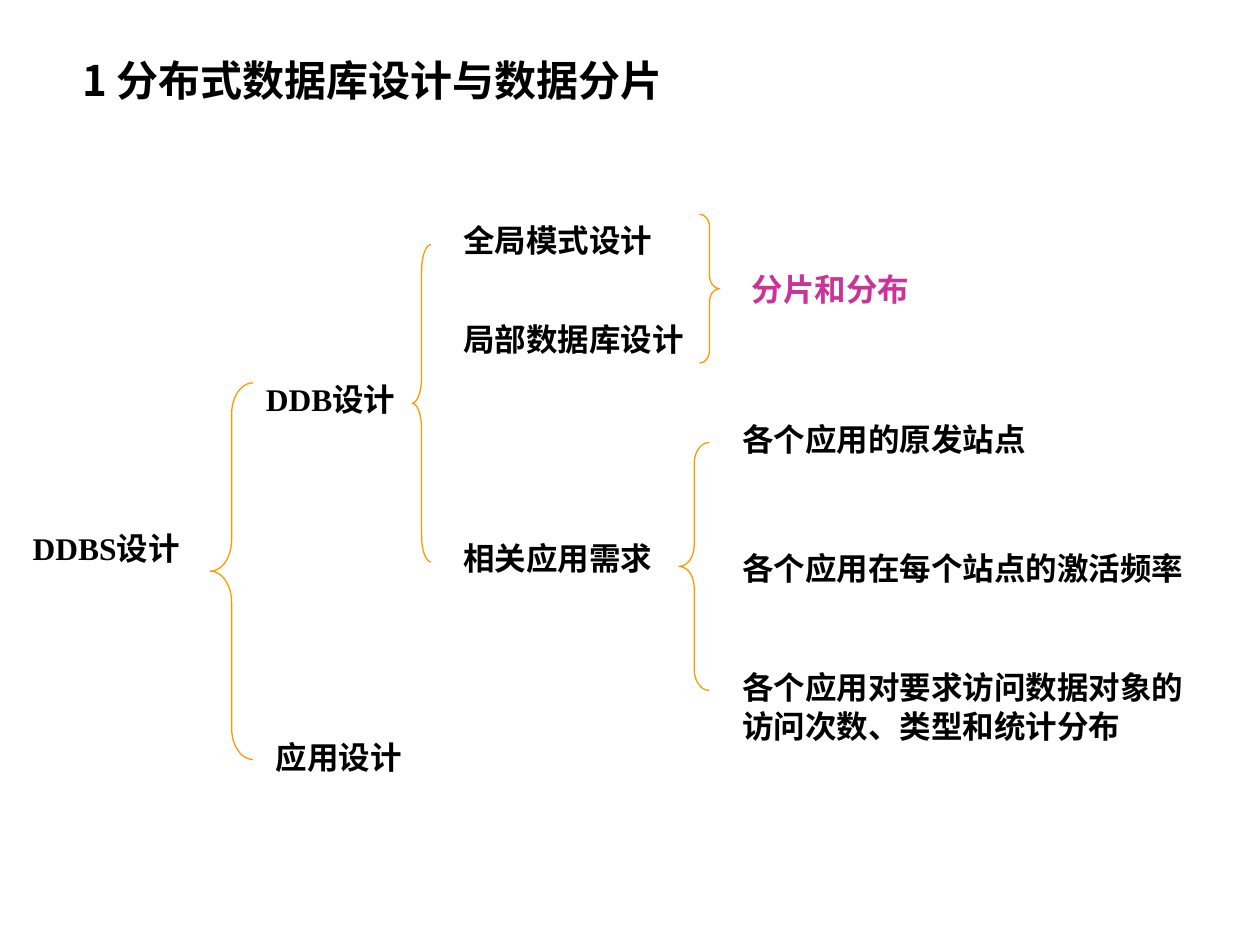
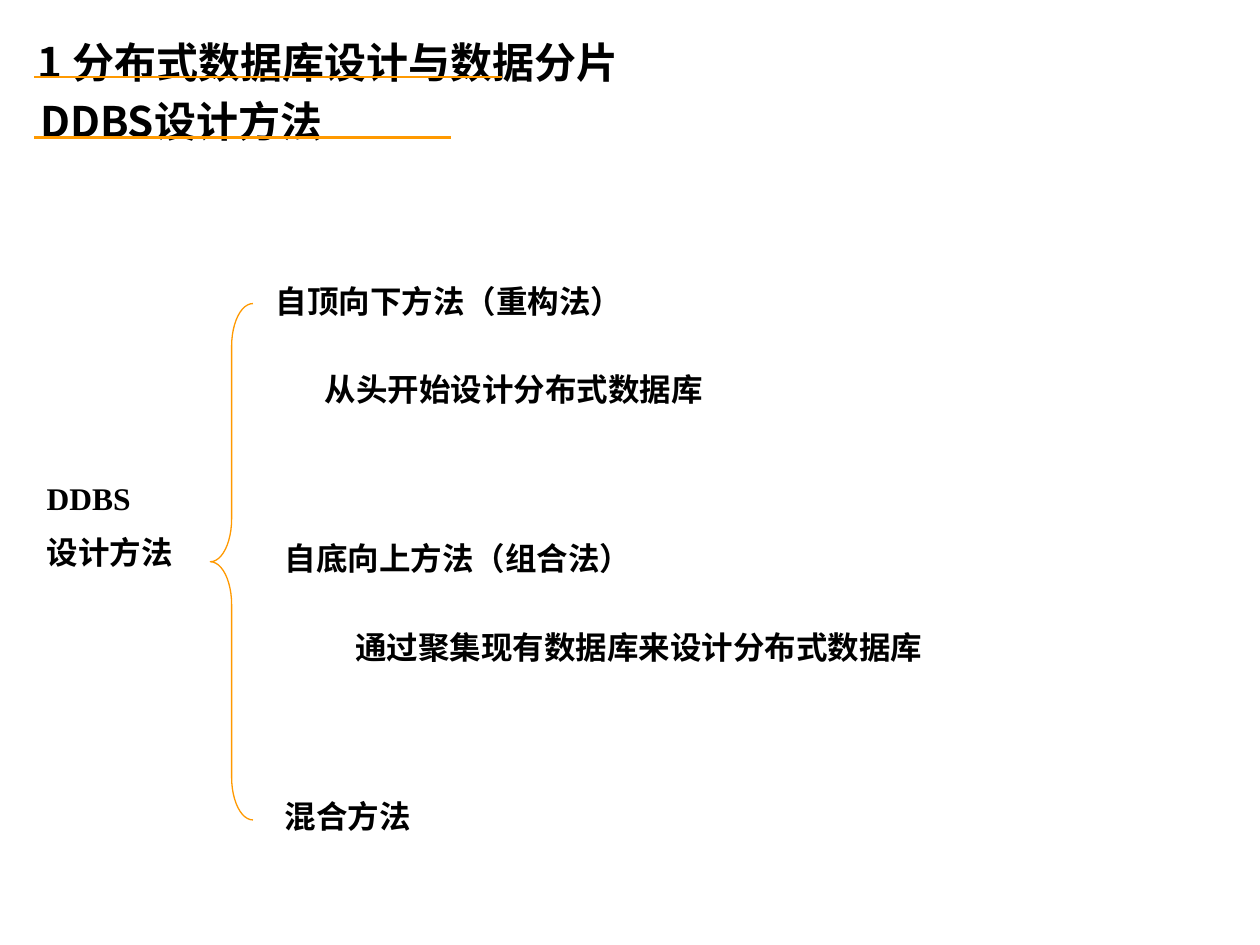
"""Build two slides on distributed database design as brace diagrams."""
from lxml import etree
from pptx import Presentation
from pptx import util as u
from pptx.dml.color import RGBColor
from pptx.enum import shapes, text
from pptx.oxml.ns import qn

ORANGE = RGBColor(0xFF, 0x99, 0x00)
BLACK = RGBColor(0x00, 0x00, 0x00)
MAGENTA = RGBColor(0xCC, 0x33, 0x99)
CJK = "Noto Sans CJK SC"
HEADING = {"name": CJK, "size": u.Pt(24), "bold": True}
LABEL = {"name": "Times New Roman", "size": u.Pt(18), "bold": True}
LEFT, RIGHT = shapes.MSO_SHAPE.LEFT_BRACE, shapes.MSO_SHAPE.RIGHT_BRACE
TITLE = "1 分布式数据库设计与数据分片"


def write(sp, lines, fmt, spacing, color=BLACK):
    """Fill a shape with left-aligned paragraphs in one format."""
    tf = sp.text_frame
    frame = {"word_wrap": True, "auto_size": text.MSO_AUTO_SIZE.NONE,
             "vertical_anchor": text.MSO_ANCHOR.TOP}
    for key, value in frame.items():
        setattr(tf, key, value)
    for i, line in enumerate(lines):
        p = tf.paragraphs[0] if i == 0 else tf.add_paragraph()
        p.alignment = text.PP_ALIGN.LEFT
        p.line_spacing = u.Pt(spacing)
        p.space_before = u.Pt(9 if i else 0)
        r = p.add_run()
        r.text = line
        for key, value in fmt.items():
            setattr(r.font, key, value)
        r.font.color.rgb = color
        ea = etree.SubElement(r.font._element, qn("a:ea"))
        ea.set("typeface", CJK)


slides = [
    {
        "title": (1.4, 0.89, 12.7, 2.64),
        "braces": [
            (LEFT, 8.31, 4.93, 0.38, 6.4, 1.4),
            (LEFT, 4.24, 7.72, 0.86, 7.59, 0.73),
            (LEFT, 13.69, 8.92, 0.61, 5, 0.69),
            (RIGHT, 14.1, 4.32, 0.41, 3, 0.63),
        ],
        "headings": [],
        "rules": [],
        "labels": [
            (0.41, 10.52, 3.71, 1.02, ["DDBS设计"], BLACK),
            (5.11, 7.52, 4.19, 1.02, ["DDB设计"], BLACK),
            (5.31, 14.73, 4.19, 1.02, ["应用设计"], BLACK),
            (9.09, 4.32, 8.2, 1.02, ["全局模式设计"], BLACK),
            (9.09, 6.32, 5.79, 1.02, ["局部数据库设计"], BLACK),
            (9.09, 10.72, 5.99, 1.02, ["相关应用需求"], BLACK),
            (14.71, 8.33, 6.4, 1.02, ["各个应用的原发站点"], BLACK),
            (14.71, 10.92, 10.69, 1.02, ["各个应用在每个站点的激活频率"], BLACK),
            (14.71, 13.33, 9.6, 1.78,
             ["各个应用对要求访问数据对象的访问次数、类型和统计分布"], BLACK),
            (14.91, 5.31, 6.4, 1.02, ["分片和分布"], MAGENTA),
        ],
    },
    {
        "title": (0.51, 0.53, 12.7, 1.27),
        "braces": [(LEFT, 4.24, 6.12, 0.86, 10.41, 1)],
        "headings": [(0.56, 1.73, 12.7, 1.27, ["DDBS设计方法"])],
        "rules": [(0.69, 10.11, 1.55), (0.69, 9.09, 2.77)],
        "labels": [
            (0.69, 9.52, 3.71, 2.16, ["DDBS", "设计方法"], BLACK),
            (5.31, 5.54, 7.8, 1.02, ["自顶向下方法（重构法）"], BLACK),
            (5.49, 15.93, 6.6, 1.02, ["混合方法"], BLACK),
            (5.49, 10.72, 8, 1.02, ["自底向上方法（组合法）"], BLACK),
            (6.3, 7.32, 15.6, 1.02, ["从头开始设计分布式数据库"], BLACK),
            (6.91, 12.52, 14.81, 1.02,
             ["通过聚集现有数据库来设计分布式数据库"], BLACK),
        ],
    },
]

prs = Presentation()
prs.slide_width, prs.slide_height = u.Cm(25.4), u.Cm(19.05)

for content in slides:
    s = prs.slides.add_slide(prs.slide_layouts[5])
    title = s.shapes.title
    for key, value in zip(("left", "top", "width", "height"), content["title"]):
        setattr(title, key, u.Cm(value))
    write(title, [TITLE], HEADING, 31)

    for kind, *box, curve in content["braces"]:
        sp = s.shapes.add_shape(kind, *map(u.Cm, box))
        sp.adjustments[0] = curve
        sp.shadow.inherit = False
        sp.fill.background()
        sp.line.color.rgb = ORANGE
        sp.line.width = u.Pt(0.75)

    for *box, lines in content["headings"]:
        write(s.shapes.add_textbox(*map(u.Cm, box)), lines, HEADING, 31)

    for x1, x2, y in content["rules"]:
        rule = s.shapes.add_connector(
            shapes.MSO_CONNECTOR.STRAIGHT, *map(u.Cm, (x1, y, x2, y)))
        rule.line.color.rgb = ORANGE
        rule.line.width = u.Pt(1.5)
        etree.SubElement(rule._element.spPr, qn("a:effectLst"))

    for *box, lines, color in content["labels"]:
        write(s.shapes.add_textbox(*map(u.Cm, box)), lines, LABEL, 22, color)

prs.save("out.pptx")
